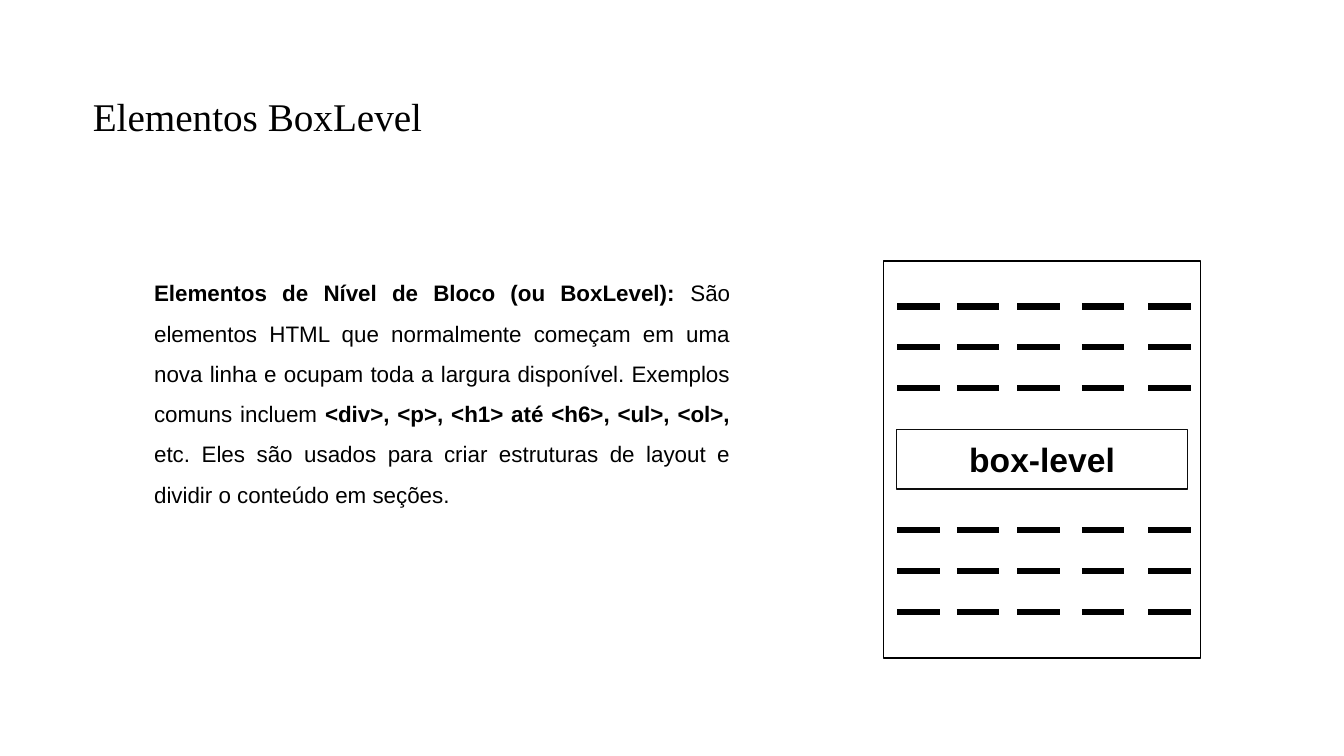
from dataclasses import dataclass
from itertools import product

from lxml.etree import SubElement
from pptx import Presentation
from pptx.dml.color import RGBColor
from pptx.enum.shapes import MSO_CONNECTOR, MSO_SHAPE
from pptx.enum.text import MSO_ANCHOR, PP_ALIGN
from pptx.oxml.ns import qn
from pptx.util import Inches, Pt


@dataclass(frozen=True)
class Theme:
    ink: RGBColor = RGBColor(0, 0, 0)
    frame: RGBColor = RGBColor(0x0D, 0x0D, 0x0D)
    paper: RGBColor = RGBColor(255, 255, 255)
    serif: str = "Times New Roman"
    sans: str = "Arial"
    title: int = 28
    label: int = 24
    body: int = 16
    edge: float = 1
    dash: float = 4.5


THEME = Theme()

BODY = (
    ("Elementos de Nível de Bloco (ou BoxLevel): ", True),
    ("São elementos HTML que normalmente começam em uma nova linha e ocupam "
     "toda a largura disponível. Exemplos comuns incluem ", False),
    ("<div>, <p>, <h1> até <h6>, <ul>, <ol>,", True),
    (" etc. Eles são usados para criar estruturas de layout e dividir o "
     "conteúdo em seções.", False),
)


def add_run(para, text, font, size, bold=False):
    run = para.add_run()
    run.text = text
    run.font.name = font
    run.font.size = Pt(size)
    run.font.bold = bold
    run.font.color.rgb = THEME.ink


def add_title(slide, left, top, width, height):
    title = slide.shapes.title
    title.left, title.top = Inches(left), Inches(top)
    title.width, title.height = Inches(width), Inches(height)
    frame = title.text_frame
    frame.word_wrap = True
    frame.vertical_anchor = MSO_ANCHOR.MIDDLE
    para = frame.paragraphs[0]
    para.alignment = PP_ALIGN.LEFT
    para.line_spacing = 0.9
    add_run(para, "Elementos BoxLevel", THEME.serif, THEME.title)


def add_body(slide, left, top, width, height):
    box = slide.shapes.add_textbox(*map(Inches, (left, top, width, height)))
    box.text_frame.word_wrap = True
    para = box.text_frame.paragraphs[0]
    para.alignment = PP_ALIGN.JUSTIFY
    para.line_spacing = 1.5
    para.space_before = Pt(10)
    for text, bold in BODY:
        add_run(para, text, THEME.sans, THEME.body, bold)


def add_rect(shapes, left, top, width, height, color):
    rect = shapes.add_shape(MSO_SHAPE.RECTANGLE,
                            *map(Inches, (left, top, width, height)))
    rect.shadow.inherit = False
    rect.fill.solid()
    rect.fill.fore_color.rgb = THEME.paper
    rect.line.color.rgb = color
    rect.line.width = Pt(THEME.edge)
    return rect


def add_dash(shapes, left, top, width):
    dash = shapes.add_connector(MSO_CONNECTOR.STRAIGHT, Inches(left),
                                Inches(top), Inches(left + width), Inches(top))
    dash.line.color.rgb = THEME.ink
    dash.line.width = Pt(THEME.dash)
    SubElement(dash.element.spPr, qn("a:effectLst"))


def add_page(slide, left, top, width, height):
    """Draw a page of dashed text lines with a block across its middle."""
    shapes = slide.shapes.add_group_shape().shapes
    add_rect(shapes, left, top, width, height, THEME.ink)

    columns = (0.14, 0.73, 1.33, 1.97, 2.63)
    for start, row, column in product((0.45, 2.67), range(3), columns):
        add_dash(shapes, left + column, top + start + row * 0.405, 0.42)

    block = add_rect(shapes, left + 0.13, top + 1.67, width - 0.26, 0.59,
                     THEME.frame)
    block.text_frame.vertical_anchor = MSO_ANCHOR.MIDDLE
    para = block.text_frame.paragraphs[0]
    para.alignment = PP_ALIGN.CENTER
    add_run(para, "box-level", THEME.sans, THEME.label, True)


def main():
    deck = Presentation()
    deck.slide_width, deck.slide_height = Inches(13.33), Inches(7.5)
    slide = deck.slides.add_slide(deck.slide_layouts.get_by_name("Title Only"))
    slide.background.fill.solid()
    slide.background.fill.fore_color.rgb = THEME.paper
    add_title(slide, 0.82, 0.93, 10.29, 0.49)
    add_body(slide, 1.43, 2.59, 5.91, 3.94)
    add_page(slide, 8.76, 2.59, 3.15, 3.94)
    deck.save("out.pptx")


if __name__ == "__main__":
    main()
